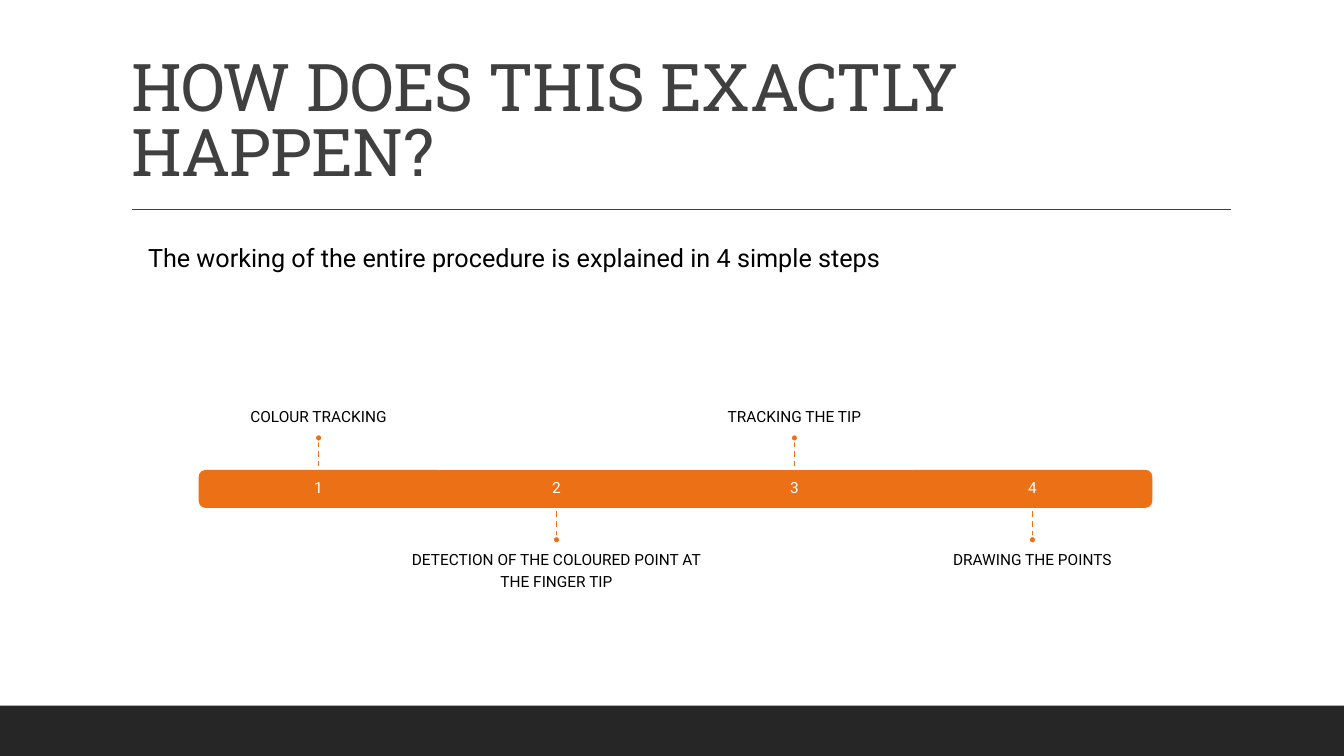
from lxml.etree import SubElement
from pptx import Presentation
from pptx.dml.color import RGBColor
from pptx.enum.dml import MSO_LINE
from pptx.enum.shapes import MSO_CONNECTOR, MSO_SHAPE
from pptx.enum.text import MSO_ANCHOR, MSO_AUTO_SIZE, PP_ALIGN
from pptx.oxml.ns import qn
from pptx.util import Inches, Pt

ORANGE = RGBColor(0xEC, 0x70, 0x16)
CHARCOAL = RGBColor(0x26, 0x26, 0x26)
GRAY = RGBColor(0x40, 0x40, 0x40)
BLACK = RGBColor(0x00, 0x00, 0x00)
WHITE = RGBColor(0xFF, 0xFF, 0xFF)

# The page is a grid of square cells, 133.3 columns by 75 rows
COLUMNS, ROWS = 133.3, 75
CELL = Inches(0.1)

STEPS = [
    ["COLOUR TRACKING"],
    ["DETECTION OF THE COLOURED POINT AT", "THE FINGER TIP"],
    ["TRACKING THE TIP"],
    ["DRAWING THE POINTS"],
]


def cells(*counts):
    return [round(count * CELL) for count in counts]


def apply(target, values):
    for name, value in values.items():
        setattr(target, name, value)


class StepPage:
    heading = {"size": Pt(47), "name": "Roboto Slab"}
    lead = {"size": Pt(18), "name": "Roboto"}
    small = {"size": Pt(11), "name": "Roboto"}
    centred = {"alignment": PP_ALIGN.CENTER, "line_spacing": 0.9,
               "space_after": Pt(3.9)}

    def __init__(self, deck):
        self.page = deck.slides.add_slide(deck.slide_layouts[5])

    def fill_text(self, box, lines, font, color, paragraph, margins, anchor):
        frame = box.text_frame
        apply(frame, {"word_wrap": True, "auto_size": MSO_AUTO_SIZE.NONE,
                      "vertical_anchor": anchor})
        sides = ("margin_left", "margin_top", "margin_right", "margin_bottom")
        apply(frame, dict(zip(sides, cells(*margins))))
        for index, line in enumerate(lines):
            para = frame.add_paragraph() if index else frame.paragraphs[0]
            apply(para, paragraph)
            span = para.add_run()
            span.text = line
            apply(span.font, font)
            span.font.color.rgb = color
        return frame

    def title(self, text, place):
        box = self.page.shapes.title
        apply(box, dict(zip(("left", "top", "width", "height"), cells(*place))))
        frame = self.fill_text(box, [text], self.heading, GRAY,
                               {"alignment": PP_ALIGN.LEFT, "line_spacing": 0.82},
                               (1, 0.5, 1, 0.2), MSO_ANCHOR.BOTTOM)
        frame.paragraphs[0].runs[0]._r.get_or_add_rPr().set("spc", "-50")

    def text(self, lines, place, font, color=BLACK, paragraph=None,
             margins=(1, 0.5, 1, 0.5), anchor=MSO_ANCHOR.TOP):
        box = self.page.shapes.add_textbox(*cells(*place))
        self.fill_text(box, lines, font, color, paragraph or {}, margins, anchor)

    def shape(self, kind, place, fill, outline=None, rotation=0):
        shape = self.page.shapes.add_shape(kind, *cells(*place))
        shape.shadow.inherit = False
        shape.rotation = rotation
        shape.fill.solid()
        shape.fill.fore_color.rgb = fill
        if outline is None:
            shape.line.fill.background()
        else:
            shape.line.color.rgb = outline
            shape.line.width = Pt(1.25)

    def line(self, start, end, color, dash=None):
        line = self.page.shapes.add_connector(
            MSO_CONNECTOR.STRAIGHT, *cells(*start, *end))
        line.line.color.rgb = color
        apply(line.line, {"width": Pt(1), "dash_style": dash})
        SubElement(line._element.spPr, qn("a:effectLst"))

    def step(self, index, lines):
        width, height, middle = 23.6, 3.6, 48.5
        center = 19.8 + width * (index + 0.5)
        above = index % 2 == 0
        side = -1 if above else 1

        # Bar segment, with outer corners rounded at both ends
        segment = (center - width / 2, middle - height / 2, width, height)
        turn = {0: 270, len(STEPS) - 1: 90}.get(index)
        if turn is None:
            self.shape(MSO_SHAPE.RECTANGLE, segment, ORANGE, ORANGE)
        else:
            upright = (center - height / 2, middle - width / 2, height, width)
            self.shape(MSO_SHAPE.ROUND_2_SAME_RECTANGLE, upright,
                       ORANGE, ORANGE, turn)
        self.text([str(index + 1)], segment, self.small, WHITE, self.centred,
                  (0.9, 0.9, 0.9, 0.9), MSO_ANCHOR.MIDDLE)

        # Label, dashed stem and dot on alternating sides
        label_top = middle - 18.1 if above else middle + 5.4
        self.text(lines, (center - 19.65, label_top, 39.3, 12.7), self.small,
                  paragraph=self.centred,
                  margins=(0, 0, 0, 0.9) if above else (0, 0.9, 0, 0),
                  anchor=MSO_ANCHOR.BOTTOM if above else MSO_ANCHOR.TOP)
        self.line((center, middle + side * 4.7),
                  (center, middle + side * 1.8), ORANGE, MSO_LINE.DASH)
        dot = 0.7
        self.shape(MSO_SHAPE.OVAL,
                   (center - dot / 2, middle + side * 5.05 - dot / 2, dot, dot),
                   ORANGE, WHITE)


def main():
    deck = Presentation()
    deck.slide_width, deck.slide_height = cells(COLUMNS, ROWS)
    steps = StepPage(deck)

    # Page frame
    steps.shape(MSO_SHAPE.RECTANGLE, (0, 70, COLUMNS, 5), CHARCOAL)
    steps.line((13.1, 20.8), (122.1, 20.8), GRAY)

    # Heading and lead sentence
    steps.title("HOW DOES THIS EXACTLY HAPPEN?", (12, 3.1, 110, 15.9))
    steps.text(["The working of the entire procedure is explained in 4 simple steps"],
               (13.7, 23.5, 92.3, 4), steps.lead)

    # Timeline
    for index, lines in enumerate(STEPS):
        steps.step(index, lines)

    deck.save("out.pptx")


if __name__ == "__main__":
    main()
